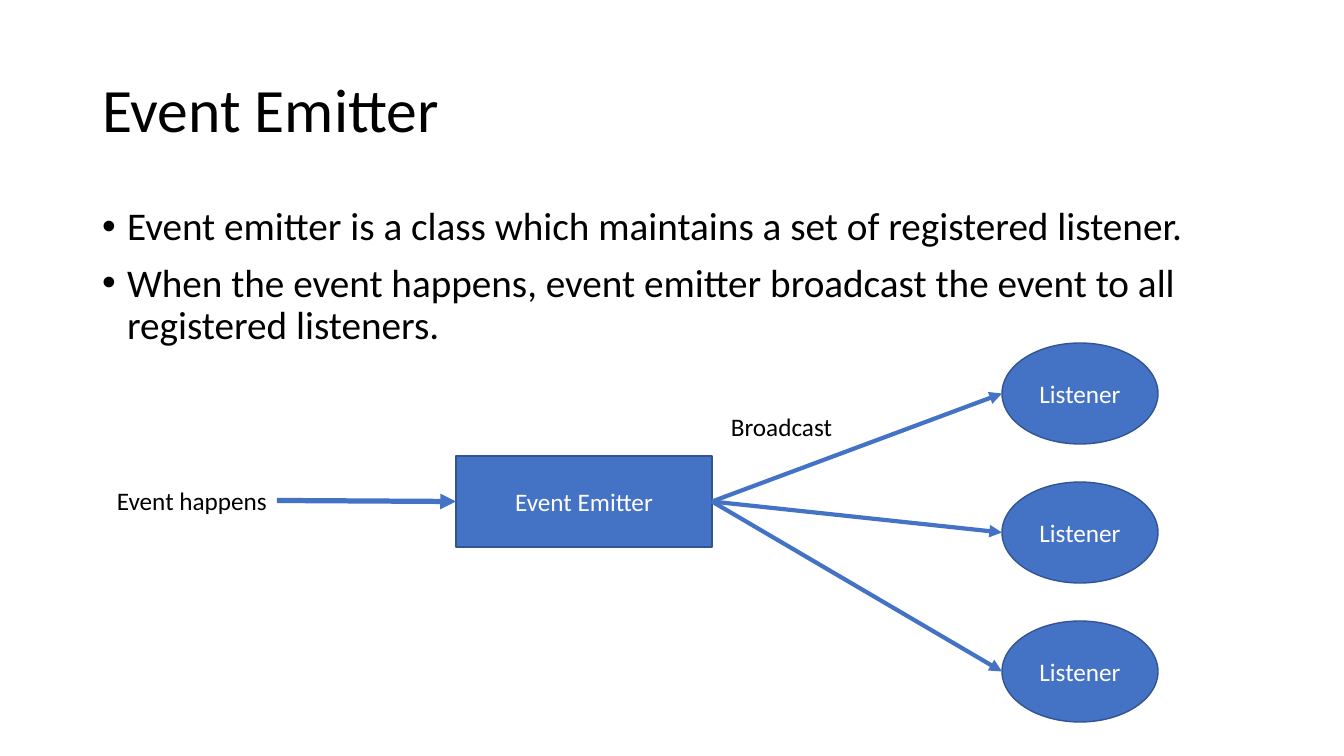
from lxml import etree
from pptx import Presentation
from pptx.dml.color import RGBColor
from pptx.enum.shapes import MSO_CONNECTOR, MSO_SHAPE
from pptx.enum.text import MSO_ANCHOR, MSO_AUTO_SIZE, PP_ALIGN
from pptx.oxml.ns import qn
from pptx.util import Pt

RECTANGLE, OVAL = MSO_SHAPE.RECTANGLE, MSO_SHAPE.OVAL
STRAIGHT = MSO_CONNECTOR.STRAIGHT
MIDDLE, TOP = MSO_ANCHOR.MIDDLE, MSO_ANCHOR.TOP
LEFT, CENTER = PP_ALIGN.LEFT, PP_ALIGN.CENTER
FIT_TEXT, NO_FIT = MSO_AUTO_SIZE.SHAPE_TO_FIT_TEXT, MSO_AUTO_SIZE.NONE

EMU_PER_PX = 914400 / 100.8
FONT = "Calibri"
COLORS = {"text": "000000", "node": "4472C4", "outline": "325491", "node text": "FFFFFF"}
BULLETS = [
    "Event emitter is a class which maintains a set of registered listener.",
    "When the event happens, event emitter broadcast the event to all registered listeners.",
]
LISTENER_COUNT = 3


def px(length):
    return round(length * EMU_PER_PX)


def color(name):
    return RGBColor.from_string(COLORS[name])


def style(para, size, color_name="text", align=LEFT):
    para.alignment = align
    para.font.name = FONT
    para.font.size = Pt(size)
    para.font.color.rgb = color(color_name)


def place(shape, box):
    shape.left, shape.top, shape.width, shape.height = map(px, box)


def add_title(page, box):
    title = page.shapes.title
    place(title, box)
    frame = title.text_frame
    frame.text = "Event Emitter"
    frame.auto_size = NO_FIT
    frame.vertical_anchor = MIDDLE
    para = frame.paragraphs[0]
    style(para, 44)
    para.line_spacing = 0.9


def add_bullets(page, box):
    body = page.placeholders[1]
    place(body, box)
    frame = body.text_frame
    frame.text = "\n".join(BULLETS)
    frame.auto_size = NO_FIT
    frame.vertical_anchor = TOP
    for para in frame.paragraphs:
        style(para, 28)
        para.line_spacing = 0.9
        para.space_before = Pt(10)
        properties = para._p.get_or_add_pPr()
        properties.set("marL", str(px(25)))
        properties.set("indent", str(-px(25)))
        etree.SubElement(properties, qn("a:buChar"), char="•")


def add_node(page, kind, text, box):
    node = page.shapes.add_shape(kind, *map(px, box))
    node.shadow.inherit = False
    node.fill.solid()
    node.fill.fore_color.rgb = color("node")
    node.line.color.rgb = color("outline")
    node.line.width = Pt(1)
    frame = node.text_frame
    frame.text = text
    frame.vertical_anchor = MIDDLE
    style(frame.paragraphs[0], 18, "node text", CENTER)


def add_label(page, text, box, wrap=True):
    frame = page.shapes.add_textbox(*map(px, box)).text_frame
    frame.text = text
    frame.word_wrap = wrap
    frame.auto_size = FIT_TEXT
    style(frame.paragraphs[0], 18)


def add_arrow(page, start, end, width):
    arrow = page.shapes.add_connector(STRAIGHT, *map(px, (*start, *end)))
    arrow.line.color.rgb = color("node")
    arrow.line.width = Pt(width)
    etree.SubElement(arrow.line._get_or_add_ln(), qn("a:tailEnd"), type="triangle")
    etree.SubElement(arrow._element.spPr, qn("a:effectLst"))


def add_broadcast_diagram(page, box):
    """Draw the event, the emitter and its listeners from left to right."""
    left, top, width, height = box
    listener_width, listener_height = 156, 101
    listener_left = left + width - listener_width
    listener_step = (height - listener_height) / (LISTENER_COUNT - 1)

    emitter_left, emitter_top = left + 349, top + 113
    emitter_width, emitter_height = 256, 91
    emitter_right = emitter_left + emitter_width
    emitter_middle = emitter_top + emitter_height / 2

    add_node(page, RECTANGLE, "Event Emitter",
             (emitter_left, emitter_top, emitter_width, emitter_height))
    add_label(page, "Event happens", (left, top + 137, 170, 40))
    add_arrow(page, (left + 170, emitter_middle - 1), (emitter_left, emitter_middle), 3.75)

    for index in range(LISTENER_COUNT):
        listener_top = top + index * listener_step
        add_node(page, OVAL, "Listener",
                 (listener_left, listener_top, listener_width, listener_height))
        add_arrow(page, (emitter_right, emitter_middle),
                  (listener_left, listener_top + listener_height / 2), 3)
    add_label(page, "Broadcast", (left + 614, top + 63, 123, 40), wrap=False)


def main():
    deck = Presentation()
    deck.slide_width, deck.slide_height = px(1344), px(756)
    page = deck.slides.add_slide(deck.slide_layouts[1])
    add_title(page, (92, 40, 1159, 146))
    add_bullets(page, (92, 202, 1159, 480))
    add_broadcast_diagram(page, (107, 343, 1051, 379))
    deck.save("out.pptx")


if __name__ == "__main__":
    main()
